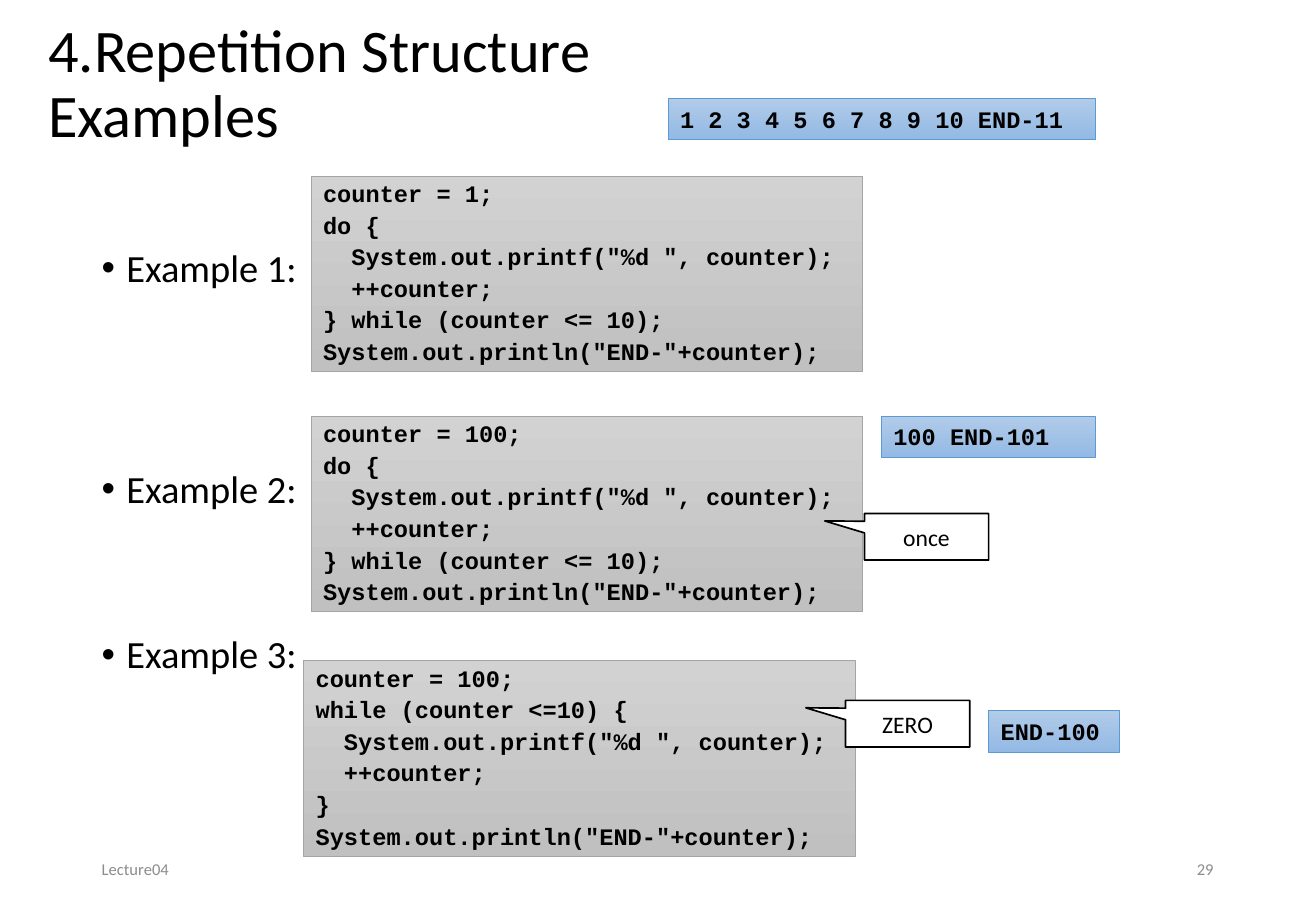
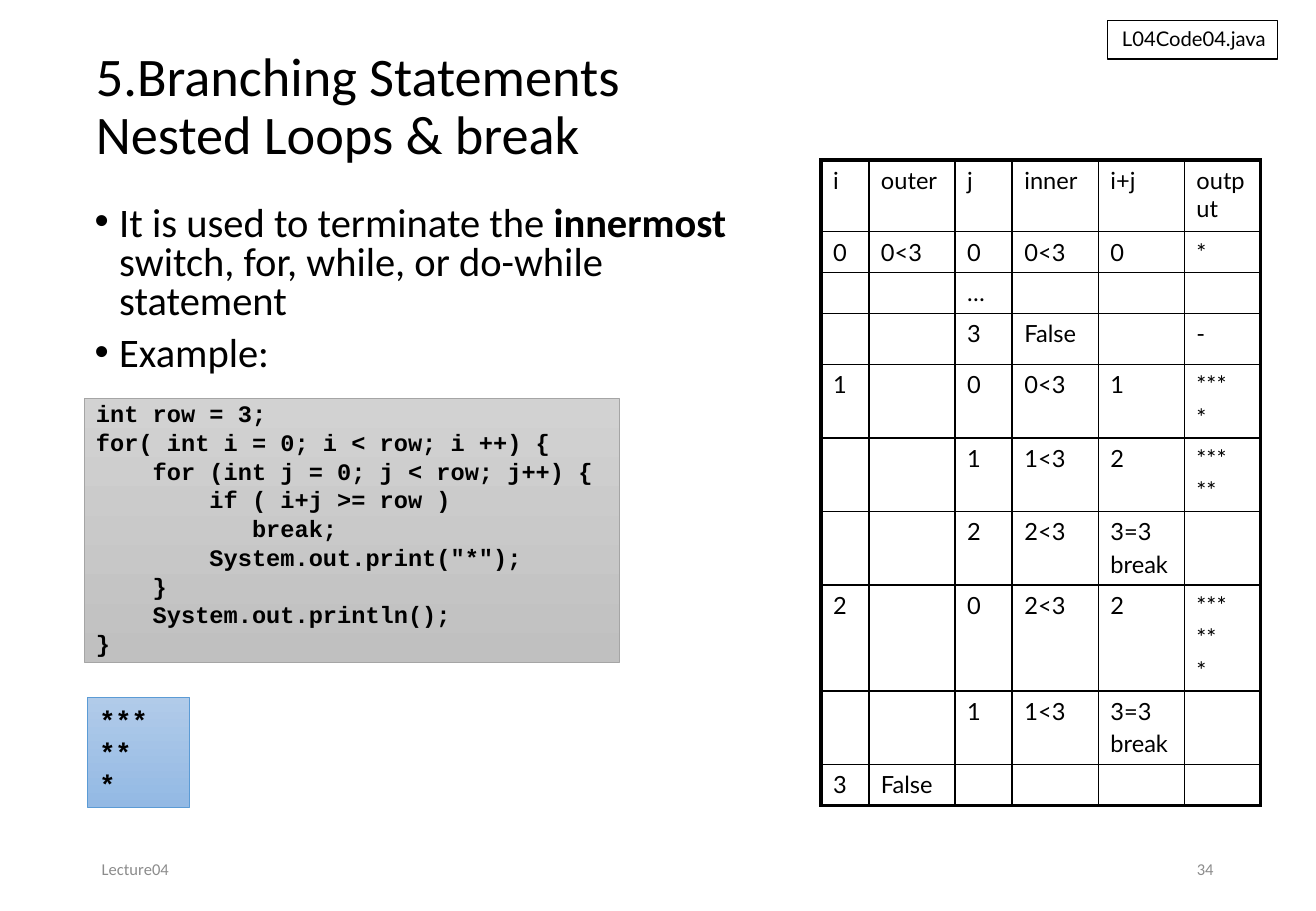
"""Build two lecture slides on Java repetition and branching statements."""
from lxml import etree
from pptx import Presentation
from pptx.dml.color import RGBColor
from pptx.enum import shapes, text
from pptx.oxml import ns
from pptx.util import Pt

BODY, MONO, TABLE = "Calibri", "Courier New", "Lato"
BLACK, WHITE, MUTED = "000000", "FFFFFF", "8C8C8C"
CODE_LOOK = ("D2D2D2", "C0C0C0", "A5A5A5")
RESULT_LOOK = ("B1CBE9", "93B9E4", "5B9BD5")
LEFT, CENTER, RIGHT = text.PP_ALIGN.LEFT, text.PP_ALIGN.CENTER, text.PP_ALIGN.RIGHT
TOP, MIDDLE = text.MSO_ANCHOR.TOP, text.MSO_ANCHOR.MIDDLE
RECT, CALLOUT = shapes.MSO_SHAPE.RECTANGLE, shapes.MSO_SHAPE.RECTANGULAR_CALLOUT

PRINT_STEP = ['  System.out.printf("%d ", counter);', "  ++counter;"]
PRINT_END = 'System.out.println("END-"+counter);'
DO_LOOP = ["do {", *PRINT_STEP, "} while (counter <= 10);", PRINT_END]
WHILE_LOOP = ["while (counter <=10) {", *PRINT_STEP, "}", PRINT_END]

EXAMPLES = [
    {"label": "Example 1:", "gap": 0, "code": ["counter = 1;", *DO_LOOP], "at": (184.4, 104.4),
     "result": "1 2 3 4 5 6 7 8 9 10 END-11", "result_at": (396, 58.4, 253.6, 24.4)},
    {"label": "Example 2:", "gap": 106.5, "code": ["counter = 100;", *DO_LOOP], "at": (184.4, 246.8),
     "result": "100 END-101", "result_at": (522.4, 246.8, 126.8, 24.4),
     "times": "once", "times_at": (512.4, 304.4)},
    {"label": "Example 3:", "gap": 73.4, "code": ["counter = 100;", *WHILE_LOOP], "at": (180, 391.6),
     "result": "END-100", "result_at": (586, 421.4, 77.8, 24.4),
     "times": "ZERO", "times_at": (501.2, 415.2)},
]

BREAK_POINTS = [
    [("It is used to terminate the ", False), ("innermost", True),
     (" switch, for, while, or do-while statement", False)],
    [("Example:", False)],
]
BREAK_CODE = [
    "int row = 3;",
    "for( int i = 0; i < row; i ++) {",
    "    for (int j = 0; j < row; j++) {",
    "        if ( i+j >= row )",
    "           break;",
    '        System.out.print("*");',
    "    }",
    "    System.out.println();",
    "}",
]
STARS = ["***", "**", "*"]
TRACE_WIDTHS = [28.4, 51, 34, 51, 51, 45.2]
TRACE = [
    (42.6, ["i", "outer", "j", "inner", "i+j", "output"]),
    (24.2, ["0", "0<3", "0", "0<3", "0", "*"]),
    (24.2, ["", "", "…", "", "", ""]),
    (30.2, ["", "", "3", "False", "", "-"]),
    (43.6, ["1", "", "0", "0<3", "1", "***\n*"]),
    (43.6, ["", "", "1", "1<3", "2", "***\n**"]),
    (43.6, ["", "", "2", "2<3", "3=3\nbreak", ""]),
    (62.8, ["2", "", "0", "2<3", "2", "\n".join(STARS)]),
    (43.6, ["", "", "1", "1<3", "3=3\nbreak", ""]),
    (24.2, ["3", "False", "", "", "", ""]),
]


def rgb(value):
    """Turn a hex string into a colour."""
    return RGBColor.from_string(value)


def style(paragraph, size, font=BODY, color=BLACK, bold=False, align=LEFT, spacing=1.0, before=0):
    """Format a whole paragraph."""
    paragraph.alignment = align
    paragraph.line_spacing = spacing
    paragraph.space_before = Pt(before)
    paragraph.font.size = Pt(size)
    paragraph.font.name = font
    paragraph.font.bold = bold
    paragraph.font.color.rgb = rgb(color)


def write(frame, lines, size, anchor=TOP, before=0, **look):
    """Fill a text frame with one paragraph per line."""
    frame.word_wrap = True
    frame.vertical_anchor = anchor
    frame.text = "\n".join(lines)
    for number, paragraph in enumerate(frame.paragraphs):
        style(paragraph, size, before=before if number else 0, **look)


def add_text(slide, at, lines, size, **look):
    """Add a plain text box."""
    write(slide.shapes.add_textbox(*map(Pt, at)).text_frame, lines, size, **look)


def add_bullets(slide, at, points, size, spacing, gaps):
    """Add bulleted paragraphs made of (text, bold) runs."""
    frame = slide.shapes.add_textbox(*map(Pt, at)).text_frame
    frame.word_wrap = True
    for number, (runs, gap) in enumerate(zip(points, gaps)):
        paragraph = frame.add_paragraph() if number else frame.paragraphs[0]
        properties = paragraph._p.get_or_add_pPr()
        properties.set("marL", str(Pt(14.6)))
        properties.set("indent", str(-Pt(14.6)))
        etree.SubElement(properties, ns.qn("a:buFont")).set("typeface", "Arial")
        etree.SubElement(properties, ns.qn("a:buChar")).set("char", "•")
        style(paragraph, size, spacing=spacing, before=gap)
        for words, bold in runs:
            run = paragraph.add_run()
            run.text = words
            if bold:
                run.font.bold = True


def add_box(slide, at, lines, size, line, line_width, fills=(WHITE,), kind=RECT, **look):
    """Add an outlined shape with a plain or a two-colour fill."""
    box = slide.shapes.add_shape(kind, *map(Pt, at))
    box.shadow.inherit = False
    if len(fills) == 1:
        box.fill.solid()
        box.fill.fore_color.rgb = rgb(fills[0])
    else:
        box.fill.gradient()
        box.fill.gradient_angle = 270
        for stop, color in zip(box.fill.gradient_stops, fills):
            stop.color.rgb = rgb(color)
    box.line.color.rgb = rgb(line)
    box.line.width = Pt(line_width)
    write(box.text_frame, lines, size, **look)
    return box


def add_mono(slide, at, lines, colors, size=14, **look):
    """Add a shaded box of bold monospaced text."""
    *fills, line = colors
    add_box(slide, at, lines, size, line, 0.5, fills, font=MONO, bold=True, **look)


def add_border(cell, side, width):
    """Draw one black side of a table cell."""
    line = etree.SubElement(cell._tc.get_or_add_tcPr(), ns.qn(f"a:ln{side}"), w=str(Pt(width)))
    fill = etree.SubElement(line, ns.qn("a:solidFill"))
    etree.SubElement(fill, ns.qn("a:srgbClr"), val=BLACK)


def add_trace(slide, left, top):
    """Add the trace table with a heavy outer frame."""
    heights = [height for height, _ in TRACE]
    table = slide.shapes.add_table(len(TRACE), len(TRACE_WIDTHS), Pt(left), Pt(top),
                                   Pt(sum(TRACE_WIDTHS)), Pt(sum(heights))).table
    table.first_row = table.horz_banding = False
    for column, width in zip(table.columns, TRACE_WIDTHS):
        column.width = Pt(width)
    last_row, last_column = len(TRACE) - 1, len(TRACE_WIDTHS) - 1
    for r, (height, values) in enumerate(TRACE):
        table.rows[r].height = Pt(height)
        for c, value in enumerate(values):
            cell = table.cell(r, c)
            write(cell.text_frame, value.split("\n"), 14, font=TABLE, before=2.4)
            outer = {"L": c == 0, "R": c == last_column, "T": r == 0, "B": r == last_row}
            for side, heavy in outer.items():
                add_border(cell, side, 2.25 if heavy else 1)
            cell.fill.background()


def start_slide(deck, title, title_at, title_size, number):
    """Add a slide with its title and footer."""
    slide = deck.slides.add_slide(deck.slide_layouts[6])
    add_text(slide, (*title_at, 672.4, 104.4), [title], title_size, anchor=MIDDLE, spacing=0.9)
    for left, words, align in ((53.2, "Lecture04", LEFT), (550.8, number, RIGHT)):
        add_text(slide, (left, 500.4, 175.6, 28.8), [words], 9.8, anchor=MIDDLE,
                 color=MUTED, align=align)
    return slide


def build_repetition(deck):
    """Build the slide of three loop examples."""
    slide = start_slide(deck, "4.Repetition Structure\vExamples", (21.6, -1.4), 35.8, "29")
    add_bullets(slide, (53.2, 144, 672.4, 342.8), [[(e["label"], False)] for e in EXAMPLES],
                22.8, 0.9, [e["gap"] for e in EXAMPLES])
    for example in EXAMPLES:
        add_mono(slide, (*example["at"], 326.8, 115.8), example["code"], CODE_LOOK,
                 spacing=0.9, before=3.6)
        add_mono(slide, example["result_at"], [example["result"]], RESULT_LOOK)
        if "times" in example:
            callout = add_box(slide, (*example["times_at"], 73.6, 27.6), [example["times"]], 14,
                              BLACK, 1, kind=CALLOUT, anchor=MIDDLE, align=CENTER)
            callout.adjustments[0] = -0.82
            callout.adjustments[1] = -0.34


def build_branching(deck):
    """Build the slide on nested loops and break."""
    slide = start_slide(deck, "5.Branching Statements\vNested Loops & break", (49.8, 11.8), 32.2, "34")
    add_bullets(slide, (49, 118.8, 396.8, 108), BREAK_POINTS, 24, 0.8, [0, 8.1])
    add_mono(slide, (49.8, 236.2, 317.4, 156.4), BREAK_CODE, CODE_LOOK, spacing=0.8, before=3.6)
    add_trace(slide, 486.6, 94.8)
    add_mono(slide, (51.8, 413.2, 60.6, 65.4), STARS, RESULT_LOOK, size=16)
    add_box(slide, (656.4, 12, 101, 23), ["L04Code04.java"], 12, BLACK, 0.75,
            font=TABLE, align=RIGHT)


def main():
    """Build and save the deck."""
    deck = Presentation()
    deck.slide_width, deck.slide_height = Pt(780), Pt(540)
    build_repetition(deck)
    build_branching(deck)
    deck.save("out.pptx")


if __name__ == "__main__":
    main()
